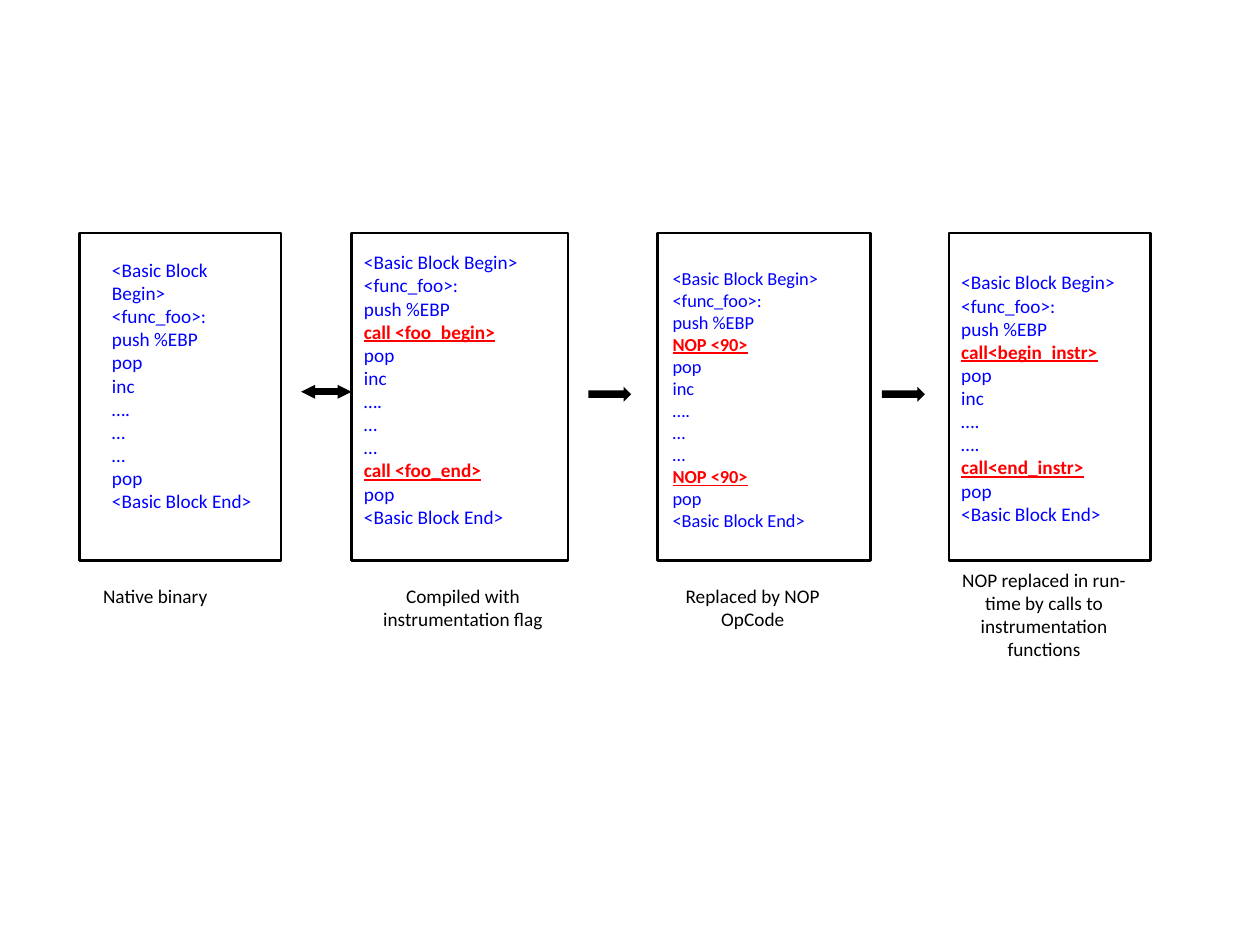
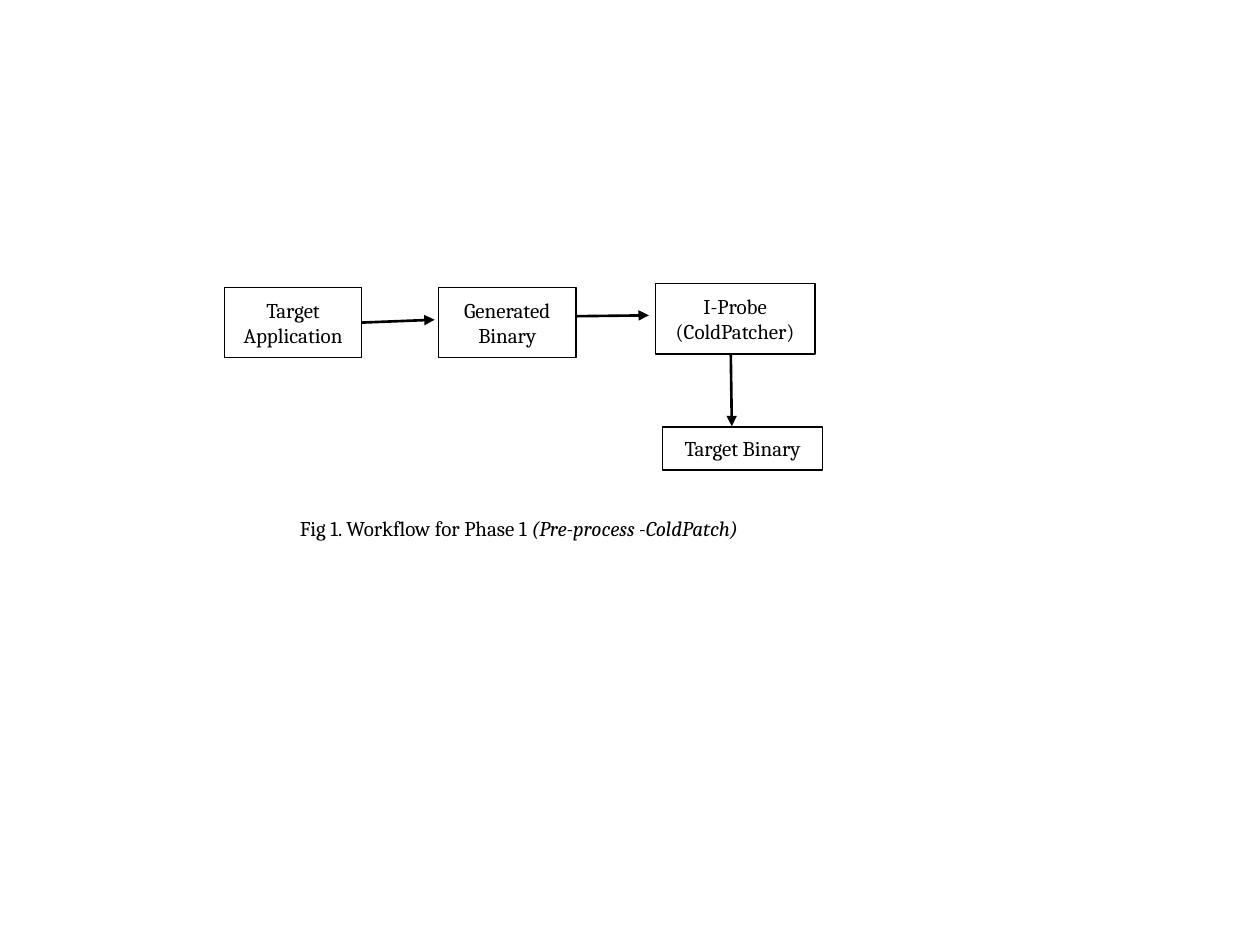
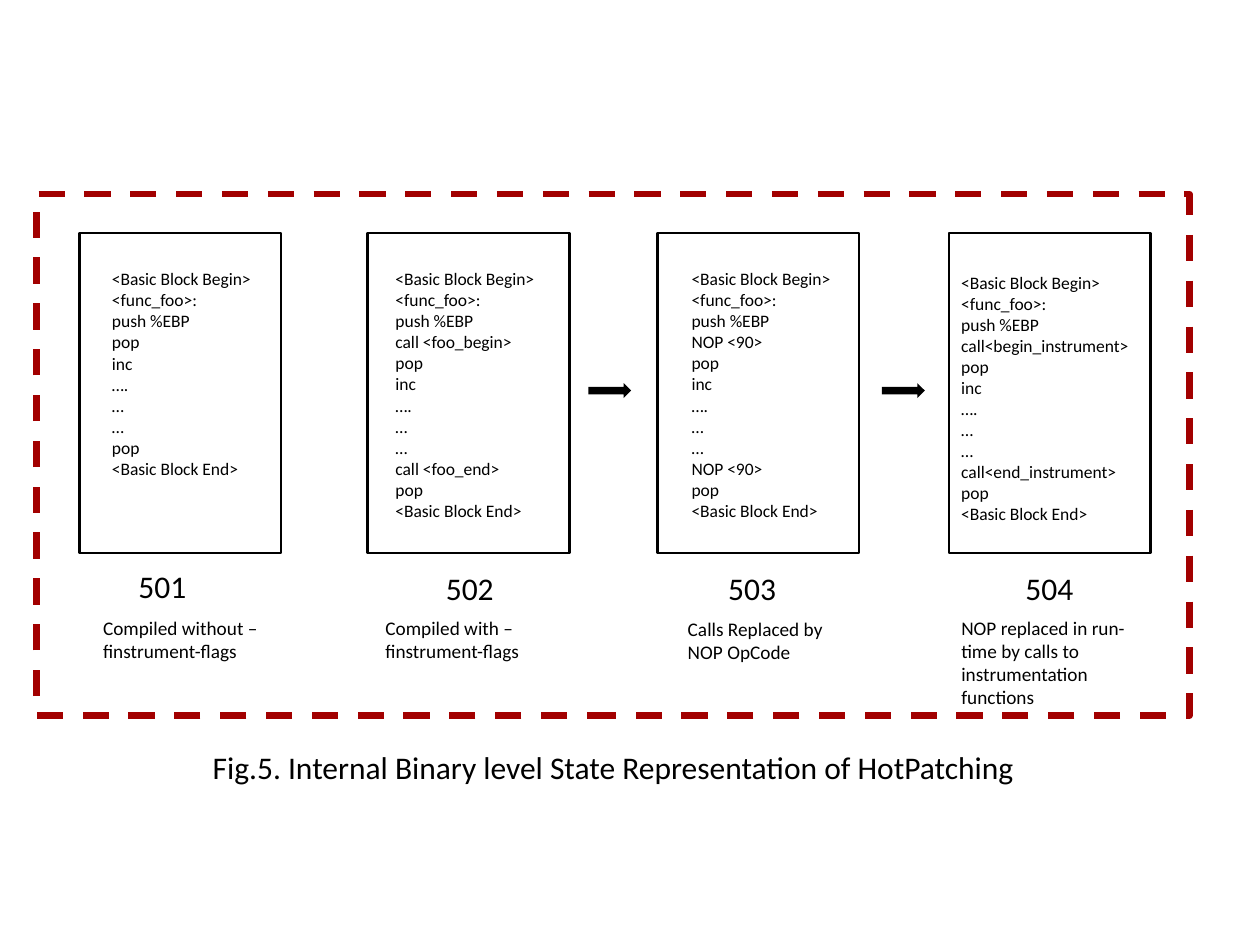
from dataclasses import dataclass

from lxml.etree import SubElement
from pptx import Presentation
from pptx.dml.color import RGBColor
from pptx.enum.dml import MSO_LINE
from pptx.enum.shapes import MSO_CONNECTOR, MSO_SHAPE
from pptx.enum.text import MSO_ANCHOR, PP_ALIGN
from pptx.oxml.ns import qn
from pptx.util import Pt


@dataclass(frozen=True)
class Theme:
    ink: str = "000000"
    code: str = "0000FF"
    call: str = "FF0000"
    frame: str = "A20000"
    sans: str = "Calibri"
    serif: str = "Cambria"
    small: float = 10
    compact: float = 10.5
    body: float = 11
    flow: float = 12
    heading: float = 18
    hairline: float = 0.75
    outline: float = 1.5
    dashes: float = 3.75
    double_arrow: float = 4


THEME = Theme()
LEFT, CENTER = PP_ALIGN.LEFT, PP_ALIGN.CENTER

# Content: positions are left, top, width, height in points
PROLOGUE = ["<Basic Block Begin>", "<func_foo>:", "push %EBP"]
DOTS = ["….", "…", "…"]
RUNTIME_NOTE = "NOP replaced in run-time by calls to instrumentation functions"
PANEL_TOP = 133.2
CAPTION_WIDTH = 108.7
BLOCK_ARROW_LEFTS = [336.2, 504]
BLOCK_ARROW_SIZE = (24.5, 8.6)

PATCH_STEPS = [
    dict(panel=(45.4, 115.2), code=(56.9, 144, 95), size=THEME.body,
         calls=None, dots=DOTS,
         caption="Native binary", caption_at=(51.8, 330.5), align=LEFT),
    dict(panel=(200.9, 123.8), code=(200.9, 139.7, 118), size=THEME.body,
         calls=("call <foo_begin>", "call <foo_end>"), dots=DOTS,
         caption="Compiled with instrumentation flag",
         caption_at=(210.2, 330.5), align=CENTER),
    dict(panel=(375.8, 121.7), code=(377.3, 149, 107.3), size=THEME.compact,
         calls=("NOP <90>", "NOP <90>"), dots=DOTS,
         caption="Replaced by NOP OpCode", caption_at=(375.8, 330.5), align=CENTER),
    dict(panel=(542.2, 115.2), code=(542.2, 151.2, 115.2), size=THEME.body,
         calls=("call<begin_instr>", "call<end_instr>"), dots=["….", "…."],
         caption=RUNTIME_NOTE, caption_at=(542.2, 321.1), align=CENTER),
]

HOTPATCH_STEPS = [
    dict(panel=(45.4, 115.2), code=(56.9, 149.8, 95), calls=None,
         caption="Compiled without –finstrument-flags", caption_at=(51.8, 348.5),
         number="501", number_at=(72, 320.4)),
    dict(panel=(210.2, 115.2), code=(218.9, 149.8, 95),
         calls=("call <foo_begin>", "call <foo_end>"),
         caption="Compiled with –finstrument-flags", caption_at=(213.1, 348.5),
         number="502", number_at=(247.7, 321.8)),
    dict(panel=(375.8, 115.2), code=(388.1, 149.8, 95),
         calls=("NOP <90>", "NOP <90>"),
         caption="Calls Replaced by NOP OpCode", caption_at=(385.9, 349.2),
         number="503", number_at=(409, 321.8)),
    dict(panel=(542.2, 115.2), code=(542.2, 151.9, 115.2),
         calls=("call<begin_instrument>", "call<end_instrument>"),
         caption=RUNTIME_NOTE, caption_at=(542.2, 348.5),
         number="504", number_at=(578.9, 321.8)),
]
HOTPATCH_FRAME = (20.9, 110.9, 658.8, 298.1)
HOTPATCH_TITLE = "Fig.5. Internal Binary level State Representation of HotPatching"

WORKFLOW_BOXES = [
    (["Target Application"], (128.2, 164.2, 78.5, 40.3)),
    (["Generated Binary"], (250.6, 164.2, 78.5, 40.3)),
    (["I-Probe", "(ColdPatcher)"], (374.4, 162, 91.4, 40.3)),
    (["Target Binary"], (378.7, 244.1, 91.4, 24.5)),
]
WORKFLOW_ARROWS = [
    ((207.4, 183.2), (248.4, 182.7)),
    ((329.8, 180.7), (370.8, 180.2)),
    ((417.6, 203), (418.2, 243.6)),
]
WORKFLOW_TITLE = [("Fig 1. Workflow for Phase 1 ", {}),
                  ("(Pre-process -ColdPatch)", {"italic": True})]


def points(values):
    return [Pt(value) for value in values]


def add_rect(slide, place, weight, color=THEME.ink, dash=None):
    rect = slide.shapes.add_shape(MSO_SHAPE.RECTANGLE, *points(place))
    rect.shadow.inherit = False
    rect.fill.background()
    rect.line.color.rgb = RGBColor.from_string(color)
    rect.line.width = Pt(weight)
    if dash:
        rect.line.dash_style = dash
    return rect


def write(frame, paragraphs, size, font=THEME.sans, color=THEME.ink, align=LEFT):
    """Fill a text frame; each paragraph is a list of (text, format) runs."""
    for index, runs in enumerate(paragraphs):
        paragraph = frame.paragraphs[0] if index == 0 else frame.add_paragraph()
        paragraph.alignment = align
        for text, changes in runs:
            run = paragraph.add_run()
            run.text = text
            style = {"color": color, "name": font, "size": Pt(size), **changes}
            run.font.color.rgb = RGBColor.from_string(style.pop("color"))
            for attribute, value in style.items():
                setattr(run.font, attribute, value)


def add_text(slide, place, paragraphs, size, wrap=True, **style):
    label = slide.shapes.add_textbox(*points(place))
    label.text_frame.word_wrap = wrap
    write(label.text_frame, paragraphs, size, **style)
    return label


def add_arrow(slide, start, end, weight, **heads):
    arrow = slide.shapes.add_connector(MSO_CONNECTOR.STRAIGHT, *points(start + end))
    arrow.line.color.rgb = RGBColor.from_string(THEME.ink)
    arrow.line.width = Pt(weight)
    line = arrow.line._get_or_add_ln()
    for end_name, scale in heads.items():
        SubElement(line, qn(f"a:{end_name}"), type="triangle", w=scale, len=scale)
    SubElement(arrow._element.spPr, qn("a:effectLst"))
    return arrow


def add_block_arrows(slide, top):
    for left in BLOCK_ARROW_LEFTS:
        arrow = slide.shapes.add_shape(
            MSO_SHAPE.RIGHT_ARROW, *points((left, top, *BLOCK_ARROW_SIZE)))
        arrow.shadow.inherit = False
        arrow.fill.solid()
        arrow.fill.fore_color.rgb = RGBColor.from_string(THEME.ink)
        arrow.line.fill.background()


def listing(calls, dots, call_format):
    """Assemble the code of one basic block around its optional pair of calls."""
    begin, end = [[[(call, call_format)]] for call in calls] if calls else ([], [])

    def plain(lines):
        return [[(line, {})] for line in lines]

    return (plain(PROLOGUE) + begin + plain(["pop", "inc", *dots])
            + end + plain(["pop", "<Basic Block End>"]))


def add_step(slide, step, panel_height, size, color, call_format):
    left, width = step["panel"]
    add_rect(slide, (left, PANEL_TOP, width, panel_height), THEME.outline)
    code = listing(step["calls"], step.get("dots", DOTS), call_format)
    add_text(slide, (*step["code"], len(code) * size * 1.2 + 7.2), code, size,
             color=color)
    add_text(slide, (*step["caption_at"], CAPTION_WIDTH, 34),
             [[(step["caption"], {})]], THEME.body, align=step.get("align", LEFT))


def build_patch_states(slide):
    call_format = {"color": THEME.call, "bold": True, "underline": True}
    for step in PATCH_STEPS:
        add_step(slide, step, 187.2, step["size"], THEME.code, call_format)
    add_block_arrows(slide, 221)
    add_arrow(slide, (172.1, 223.9), (200.9, 223.9), THEME.double_arrow,
              headEnd="sm", tailEnd="sm")


def build_workflow(slide):
    boxes = []
    for lines, place in WORKFLOW_BOXES:
        box = add_rect(slide, place, THEME.hairline)
        box.text_frame.word_wrap = True
        box.text_frame.vertical_anchor = MSO_ANCHOR.MIDDLE
        write(box.text_frame, [[(line, {})] for line in lines], THEME.flow,
              font=THEME.serif, align=CENTER)
        boxes.append(box)
    arrows = [add_arrow(slide, start, end, THEME.outline, tailEnd="med")
              for start, end in WORKFLOW_ARROWS]
    arrows[0].begin_connect(boxes[0], 3)
    title = add_text(slide, (164.2, 287.3, 286.6, 36.7), [WORKFLOW_TITLE],
                     THEME.flow, font=THEME.serif)
    for side in ("left", "top", "right", "bottom"):
        setattr(title.text_frame, f"margin_{side}", Pt(7.2))


def build_hotpatch_states(slide):
    for step in HOTPATCH_STEPS:
        add_step(slide, step, 182.9, THEME.small, THEME.ink, {})
        add_text(slide, (*step["number_at"], 42.5, 28.8),
                 [[(step["number"], {})]], THEME.heading, wrap=False)
    add_block_arrows(slide, 218.9)
    add_rect(slide, HOTPATCH_FRAME, THEME.dashes, THEME.frame, MSO_LINE.DASH)
    add_text(slide, (114.5, 424.1, 480.2, 28.8), [[(HOTPATCH_TITLE, {})]],
             THEME.heading, wrap=False)


def main():
    deck = Presentation()
    deck.slide_width, deck.slide_height = points((720, 540))
    for build in (build_patch_states, build_workflow, build_hotpatch_states):
        build(deck.slides.add_slide(deck.slide_layouts[6]))
    deck.save("out.pptx")


if __name__ == "__main__":
    main()
